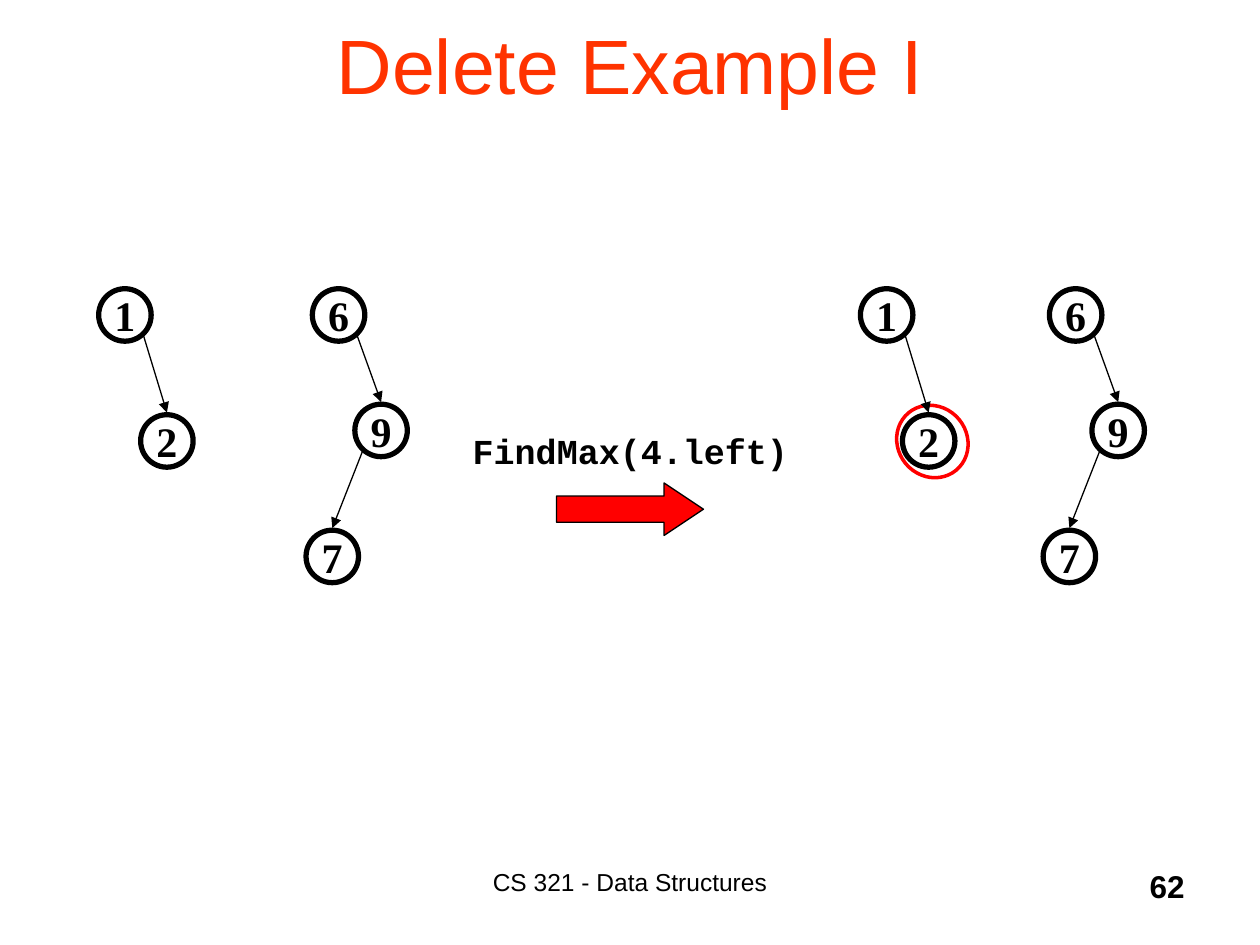
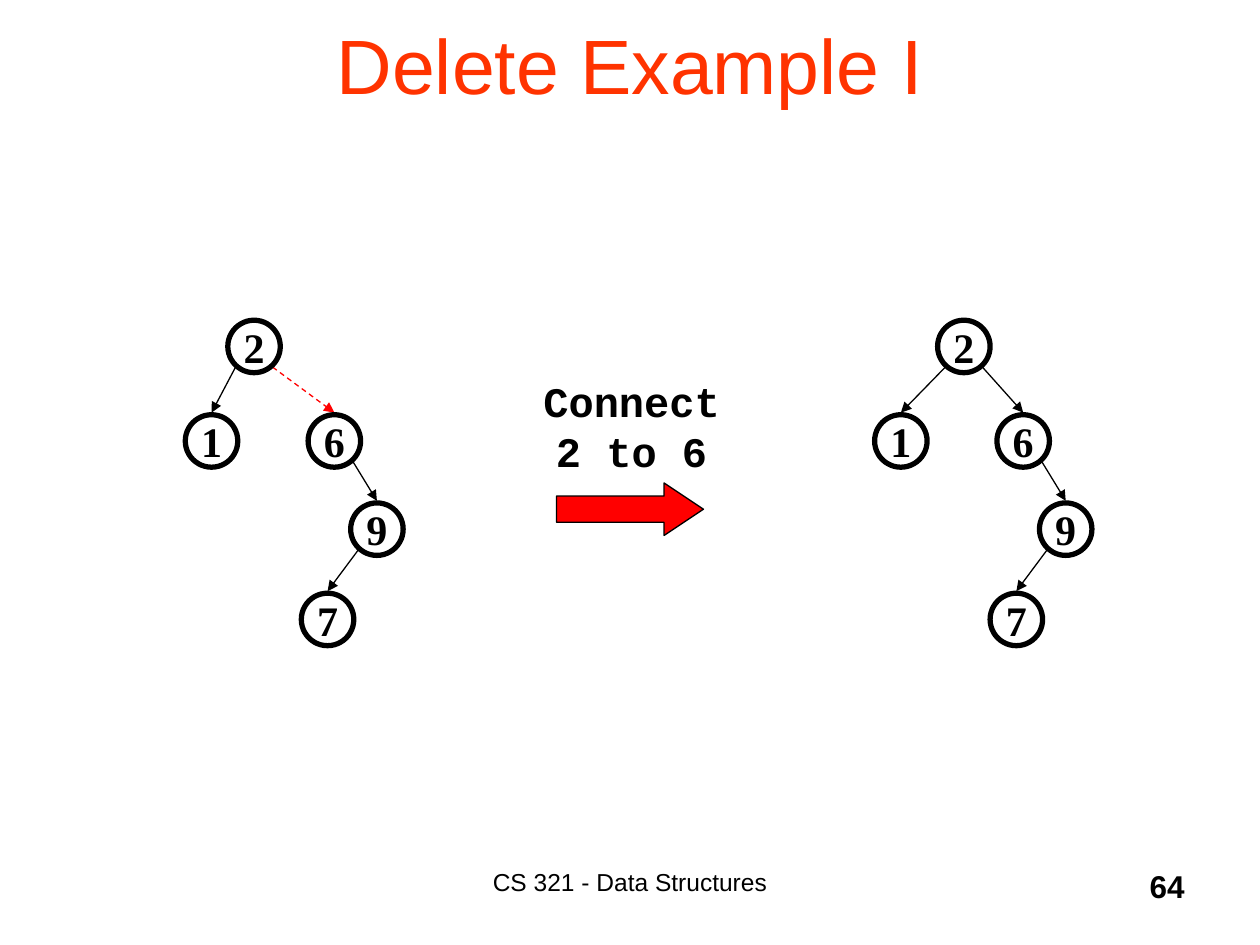
import math
from dataclasses import dataclass

import pptx
import pptx.dml.color
import pptx.enum.dml
import pptx.enum.shapes
import pptx.enum.text
import pptx.oxml
import pptx.oxml.ns
import pptx.util

SHAPES = pptx.enum.shapes.MSO_SHAPE
ALIGN = pptx.enum.text.PP_ALIGN
ANCHOR = pptx.enum.text.MSO_ANCHOR


@dataclass(frozen=True)
class Theme:
    """Colours, fonts, type sizes and line widths of the deck."""
    ink: str = "000000"
    title_ink: str = "FF3300"
    accent: str = "FF0000"
    sans: str = "Arial"
    mono: str = "Courier New"
    serif: str = "Times New Roman"
    title_size: int = 44
    node_size: int = 24
    footer_size: int = 14
    number_size: int = 18
    thin: float = 0.75
    ring: float = 2
    bold: float = 3


THEME = Theme()
WIDTH, HEIGHT = pptx.util.Inches(10), pptx.util.Inches(7.5)
COLUMNS, ROWS = 120, 90
NODE = 5
TIP_GAP = 0.2

ROOT_Y = 30
ONE_TWO = {"1": (0, 0), "2": (4, 12)}
SIX_NINE_SEVEN = {"6": (0, 0), "9": (4.05, 11), "7": (-0.6, 23)}
SHORT_SIX = {"6": (0, 0), "9": (4.05, 8.4), "7": (-0.65, 17)}


def grid(*cells):
    """Turn alternating column and row counts into lengths."""
    units = WIDTH / COLUMNS, HEIGHT / ROWS
    return [round(cell * units[i % 2]) for i, cell in enumerate(cells)]


def rgb(code):
    """Make a colour from its hex code."""
    return pptx.dml.color.RGBColor.from_string(code)


def write(frame, text, *, size, font=THEME.sans, color=THEME.ink, bold=False,
          align=ALIGN.CENTER, anchor=ANCHOR.TOP, wrap=True, top=0.05):
    """Fill a text frame with one formatted paragraph."""
    frame.word_wrap = wrap
    frame.vertical_anchor = anchor
    frame.margin_top = pptx.util.Inches(top)
    paragraph = frame.paragraphs[0]
    paragraph.alignment = align
    run = paragraph.add_run()
    run.text = text
    run.font.name, run.font.size, run.font.bold = font, pptx.util.Pt(size), bold
    run.font.color.rgb = rgb(color)


def add_label(slide, cells, text, **style):
    """Place a text box on the grid."""
    write(slide.shapes.add_textbox(*grid(*cells)).text_frame, text, **style)


def add_outline(slide, kind, cells, color, width, fill=None):
    """Place an outlined preset shape on the grid."""
    shape = slide.shapes.add_shape(kind, *grid(*cells))
    shape.shadow.inherit = False
    if fill:
        shape.fill.solid()
        shape.fill.fore_color.rgb = rgb(fill)
    else:
        shape.fill.background()
    shape.line.color.rgb = rgb(color)
    shape.line.width = pptx.util.Pt(width)
    return shape


def add_node(slide, key, x, y):
    """Draw a tree node centred on a grid point."""
    cells = x - NODE / 2, y - NODE / 2, NODE, NODE
    circle = add_outline(slide, SHAPES.OVAL, cells, THEME.ink, THEME.bold)
    write(circle.text_frame, key, size=THEME.node_size, font=THEME.serif,
          bold=True, anchor=ANCHOR.MIDDLE, wrap=False)


def add_edge(slide, parent, child, pending=False):
    """Draw an arrow from the parent's lower side to the child's top."""
    reach = NODE / 2 * math.sqrt(0.5)
    start = parent[0] + math.copysign(reach, child[0] - parent[0]), parent[1] + reach + TIP_GAP
    end = child[0], child[1] - NODE / 2 - TIP_GAP
    edge = slide.shapes.add_connector(
        pptx.enum.shapes.MSO_CONNECTOR.STRAIGHT, *grid(*start, *end))
    edge.line.color.rgb = rgb(THEME.accent if pending else THEME.ink)
    edge.line.width = pptx.util.Pt(THEME.thin)
    if pending:
        edge.line.dash_style = pptx.enum.dml.MSO_LINE.DASH
    namespace = pptx.oxml.ns.nsdecls("a")
    edge.line._get_or_add_ln().append(
        pptx.oxml.parse_xml(f'<a:tailEnd {namespace} type="triangle"/>'))
    edge._element.spPr.append(pptx.oxml.parse_xml(f"<a:effectLst {namespace}/>"))


def add_chain(slide, offsets, x, y):
    """Draw a tree in which each node hangs from the one before it."""
    centres = [(x + dx, y + dy) for dx, dy in offsets.values()]
    for parent, child in zip(centres, centres[1:]):
        add_edge(slide, parent, child)
    for key, centre in zip(offsets, centres):
        add_node(slide, key, *centre)


def add_joined_tree(slide, root_x, one_x, six_x, pending=False):
    """Draw node 2 over node 1 and the chain of node 6."""
    root, one, six = (root_x, 33), (one_x, 42), (six_x, 42)
    add_edge(slide, root, one)
    add_edge(slide, root, six, pending)
    add_node(slide, "2", *root)
    add_node(slide, "1", *one)
    add_chain(slide, SHORT_SIX, *six)


def add_step_slide(deck, number, step, step_cells, step_size):
    """Add a slide with its title, footer and step arrow."""
    slide = deck.slides.add_slide(deck.slide_layouts[6])
    add_label(slide, (9, -2, 102, 15), "Delete Example I", size=THEME.title_size,
              color=THEME.title_ink, anchor=ANCHOR.MIDDLE, top=0.15)
    add_label(slide, (37, 82, 46, 6), "CS 321 - Data Structures", size=THEME.footer_size)
    add_label(slide, (89, 82, 25, 6), number, size=THEME.number_size,
              bold=True, align=ALIGN.RIGHT)
    add_label(slide, step_cells, step, size=step_size, font=THEME.mono,
              bold=True, top=0.11)
    arrow = add_outline(slide, SHAPES.RIGHT_ARROW, (53, 46, 14, 5),
                        THEME.ink, THEME.thin, fill=THEME.accent)
    arrow.adjustments[0], arrow.adjustments[1] = 0.5, 0.75
    return slide


def main():
    """Build both steps of the deletion and save the deck."""
    deck = pptx.Presentation()
    deck.slide_width, deck.slide_height = WIDTH, HEIGHT

    find = add_step_slide(deck, "62", "FindMax(4.left)", (43.8, 39.6, 32.5, 5.3), 20)
    maximum = add_outline(find, SHAPES.OVAL, (85.5, 38.5, 6.6, 7.1),
                          THEME.accent, THEME.ring)
    maximum.rotation = 320.5
    for one_x, six_x in ((11.9, 32.25), (84.45, 102.45)):
        add_chain(find, ONE_TWO, one_x, ROOT_Y)
        add_chain(find, SIX_NINE_SEVEN, six_x, ROOT_Y)

    connect = add_step_slide(deck, "64", "Connect 2 to 6", (49, 34.4, 22.3, 10.9), 24)
    add_joined_tree(connect, 24.2, 20.15, 31.85, pending=True)
    add_joined_tree(connect, 91.8, 85.8, 97.45)

    deck.save("out.pptx")


if __name__ == "__main__":
    main()
